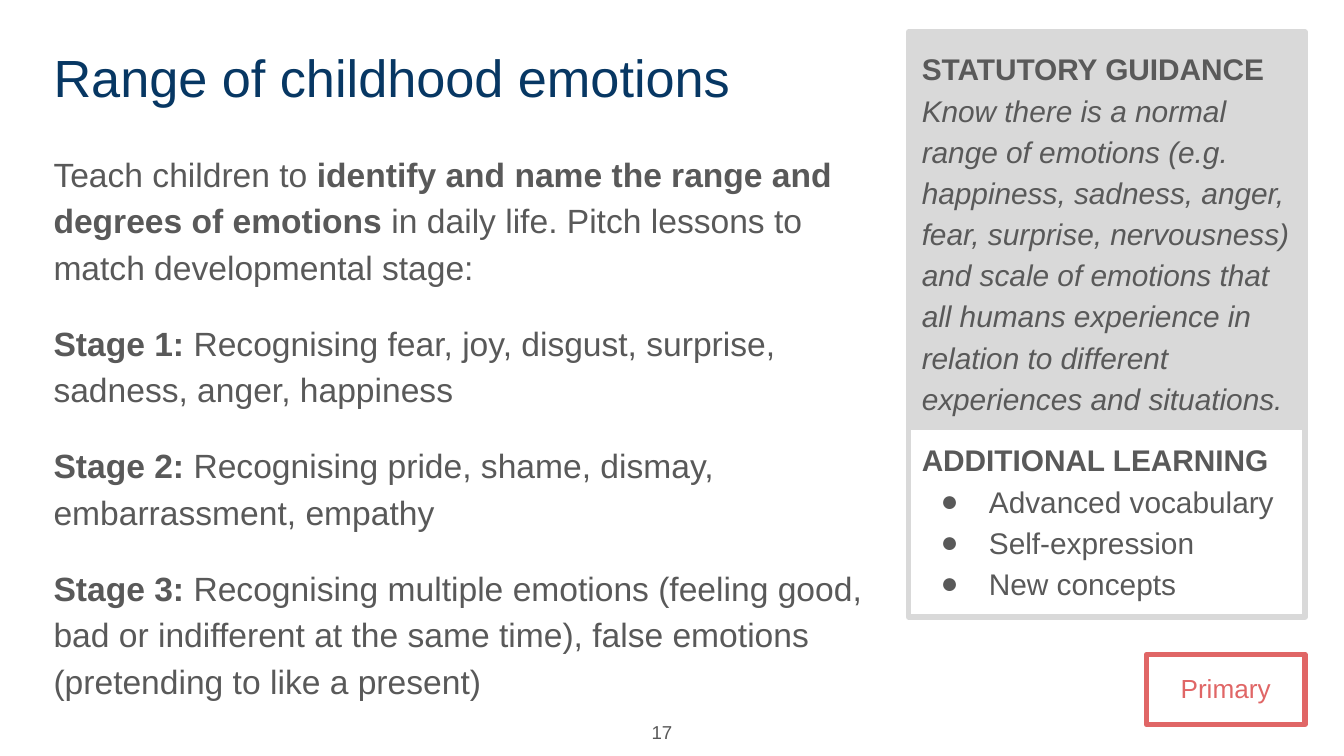
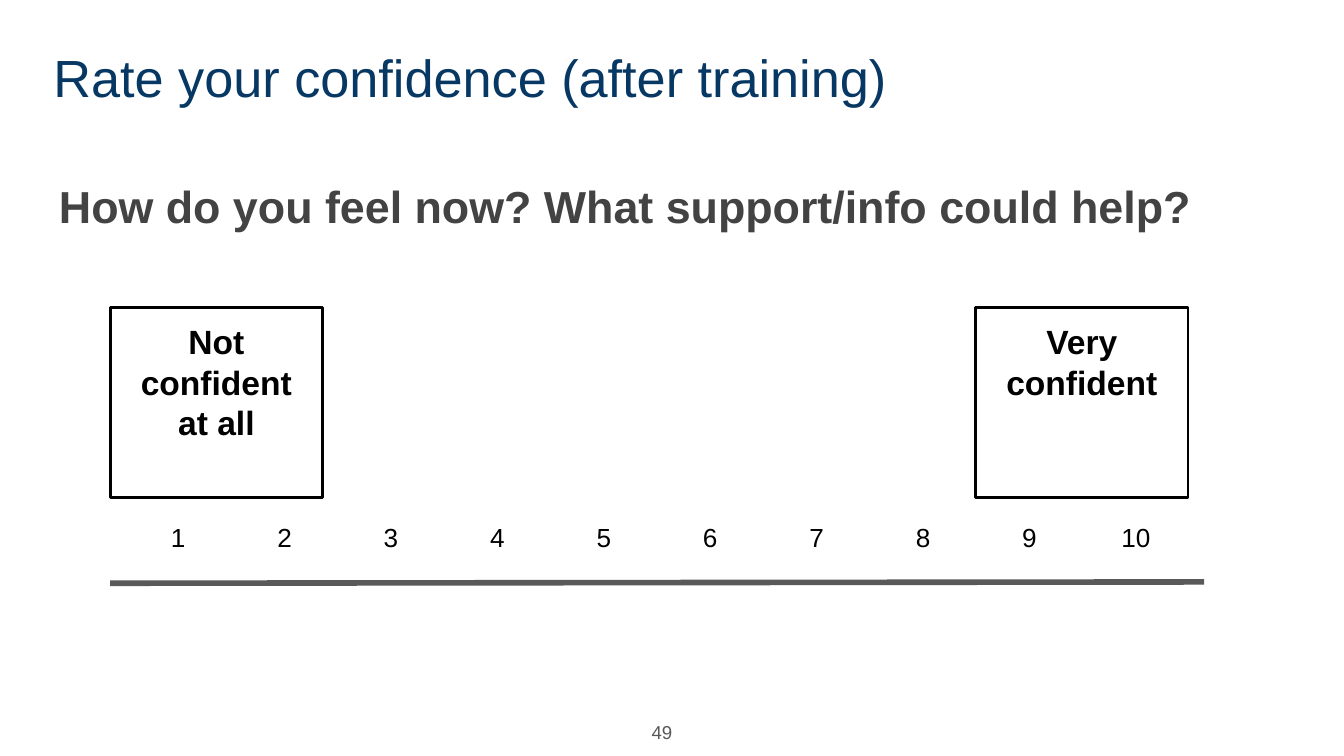
from lxml import etree
from pptx import Presentation
from pptx.dml.color import RGBColor
from pptx.enum.shapes import MSO_CONNECTOR, MSO_SHAPE
from pptx.enum.text import MSO_ANCHOR, PP_ALIGN
from pptx.oxml.ns import qn
from pptx.util import Inches, Pt

LEFT, CENTER, RIGHT = PP_ALIGN.LEFT, PP_ALIGN.CENTER, PP_ALIGN.RIGHT
TOP, MIDDLE = MSO_ANCHOR.TOP, MSO_ANCHOR.MIDDLE
RECTANGLE, STRAIGHT = MSO_SHAPE.RECTANGLE, MSO_CONNECTOR.STRAIGHT

COLORS = {"navy": "073763", "gray": "595959", "dark": "434343", "panel": "D9D9D9",
          "coral": "E06666", "black": "000000"}
FONT = "Arial"
MARGIN = Inches(0.1)


def style_paragraph(para, size, color, align=LEFT, bold=None):
    para.alignment = align
    para.font.name = FONT
    para.font.size = Pt(size)
    para.font.color.rgb = RGBColor.from_string(COLORS[color])
    para.font.bold = bold


def add_box(page, at, paragraphs, size, color, align=LEFT, spacing=1.15, gap=0, bold=None,
            anchor=TOP, fill=None, line=None, line_width=3, bullets=False):
    """Each paragraph is a list of (text, style) spans; bullets skip the first paragraph."""
    place = [Inches(value) for value in at]
    if line:
        box = page.shapes.add_shape(RECTANGLE, *place)
        box.shadow.inherit = False
        box.line.color.rgb = RGBColor.from_string(COLORS[line])
        box.line.width = Pt(line_width)
        if fill:
            box.fill.solid()
            box.fill.fore_color.rgb = RGBColor.from_string(COLORS[fill])
        else:
            box.fill.background()
    else:
        box = page.shapes.add_textbox(*place)
    frame = box.text_frame
    frame.word_wrap = True
    frame.vertical_anchor = anchor
    frame.margin_left = frame.margin_right = MARGIN
    frame.margin_top = frame.margin_bottom = MARGIN
    for index, spans in enumerate(paragraphs):
        para = frame.add_paragraph() if index else frame.paragraphs[0]
        para.line_spacing = spacing
        if index and gap:
            para.space_before = Pt(gap)
        if index and bullets:
            properties = para._p.get_or_add_pPr()
            properties.set("marL", str(Inches(0.5)))
            properties.set("indent", str(Inches(-0.36)))
            bullet_color = etree.SubElement(properties, qn("a:buClr"))
            etree.SubElement(bullet_color, qn("a:srgbClr"), val=COLORS[color])
            etree.SubElement(properties, qn("a:buFont"), typeface=FONT)
            etree.SubElement(properties, qn("a:buChar"), char="●")
        style_paragraph(para, size, color, align, bold)
        for number, (text, style) in enumerate(spans):
            if style == "italic" and number:
                para.add_line_break()
            span = para.add_run()
            span.text = text
            if style:
                setattr(span.font, style, True)


# Widescreen deck, 16:9
deck = Presentation()
deck.slide_width = Inches(10)
deck.slide_height = Inches(10) * 9 // 16

# Titles and page numbers on both slides
pages = []
for title, width, number in [("Range of childhood emotions", 6.41, "17"),
                             ("Rate your confidence (after training)", 9.36, "49")]:
    page = deck.slides.add_slide(deck.slide_layouts[6])
    add_box(page, (0.3, 0.24, width, 0.63), [[(title, None)]], 28, "navy", spacing=1)
    add_box(page, (4.72, 5.26, 0.38, 0.37), [[(number, None)]], 10, "gray",
            align=RIGHT, spacing=1, anchor=MIDDLE)
    pages.append(page)
emotions, confidence = pages

# Emotions: stages
stages = [
    "Recognising fear, joy, disgust, surprise, sadness, anger, happiness",
    "Recognising pride, shame, dismay, embarrassment, empathy",
    "Recognising multiple emotions (feeling good, bad or indifferent at the same time), "
    "false emotions (pretending to like a present)",
]
intro = [("Teach children to ", None),
         ("identify and name the range and degrees of emotions", "bold"),
         (" in daily life. Pitch lessons to match developmental stage:", None)]
stage_lines = [[(f"Stage {number}:", "bold"), (f" {text}", None)]
               for number, text in enumerate(stages, 1)]
add_box(emotions, (0.3, 1, 6.32, 4.12), [intro] + stage_lines, 18, "gray", gap=16)

# Emotions: side panel and school phase
guidance = ("Know there is a normal range of emotions (e.g. happiness, sadness, anger, fear, "
            "surprise, nervousness) and scale of emotions that all humans experience in "
            "relation to different experiences and situations.")
add_box(emotions, (6.76, 0.24, 2.95, 2.94),
        [[("STATUTORY GUIDANCE", "bold"), (guidance, "italic")]],
        16, "gray", fill="panel", line="panel")
learning = ["Advanced vocabulary", "Self-expression", "New concepts"]
add_box(emotions, (6.76, 3.15, 2.95, 1.44),
        [[("ADDITIONAL LEARNING", "bold")]] + [[(item, None)] for item in learning],
        16, "gray", line="panel", bullets=True)
add_box(emotions, (8.53, 4.87, 1.18, 0.52), [[("Primary", None)]], 14, "coral",
        align=CENTER, line="coral")

# Confidence: question
add_box(confidence, (0.34, 1.17, 9.32, 3.83),
        [[("How do you feel now? What support/info could help?", None)]],
        24, "dark", bold=True)

# Confidence: scale line
scale = confidence.shapes.add_connector(STRAIGHT, Inches(0.82), Inches(4.34),
                                        Inches(8.96), Inches(4.33))
scale.line.color.rgb = RGBColor.from_string(COLORS["gray"])
scale.line.width = Pt(3)
etree.SubElement(scale._element.spPr, qn("a:effectLst"))

# Confidence: ends of the scale
for left, label in [(0.82, "Not confident at all"), (7.26, "Very confident")]:
    add_box(confidence, (left, 2.29, 1.58, 1.41), [[(label, None)]], 18, "black",
            align=CENTER, spacing=1, bold=True, line="black", line_width=1.5)

# Confidence: scores
scores = confidence.shapes.add_table(1, 10, Inches(0.93), Inches(3.8),
                                     Inches(7.92), Inches(0.42)).table
scores.first_row = scores.horz_banding = False
for index, cell in enumerate(scores.iter_cells()):
    cell.fill.background()
    cell.margin_left = cell.margin_right = MARGIN
    cell.margin_top = cell.margin_bottom = MARGIN
    cell.text = str(index + 1)
    style_paragraph(cell.text_frame.paragraphs[0], 14, "black", CENTER)

deck.save("out.pptx")
